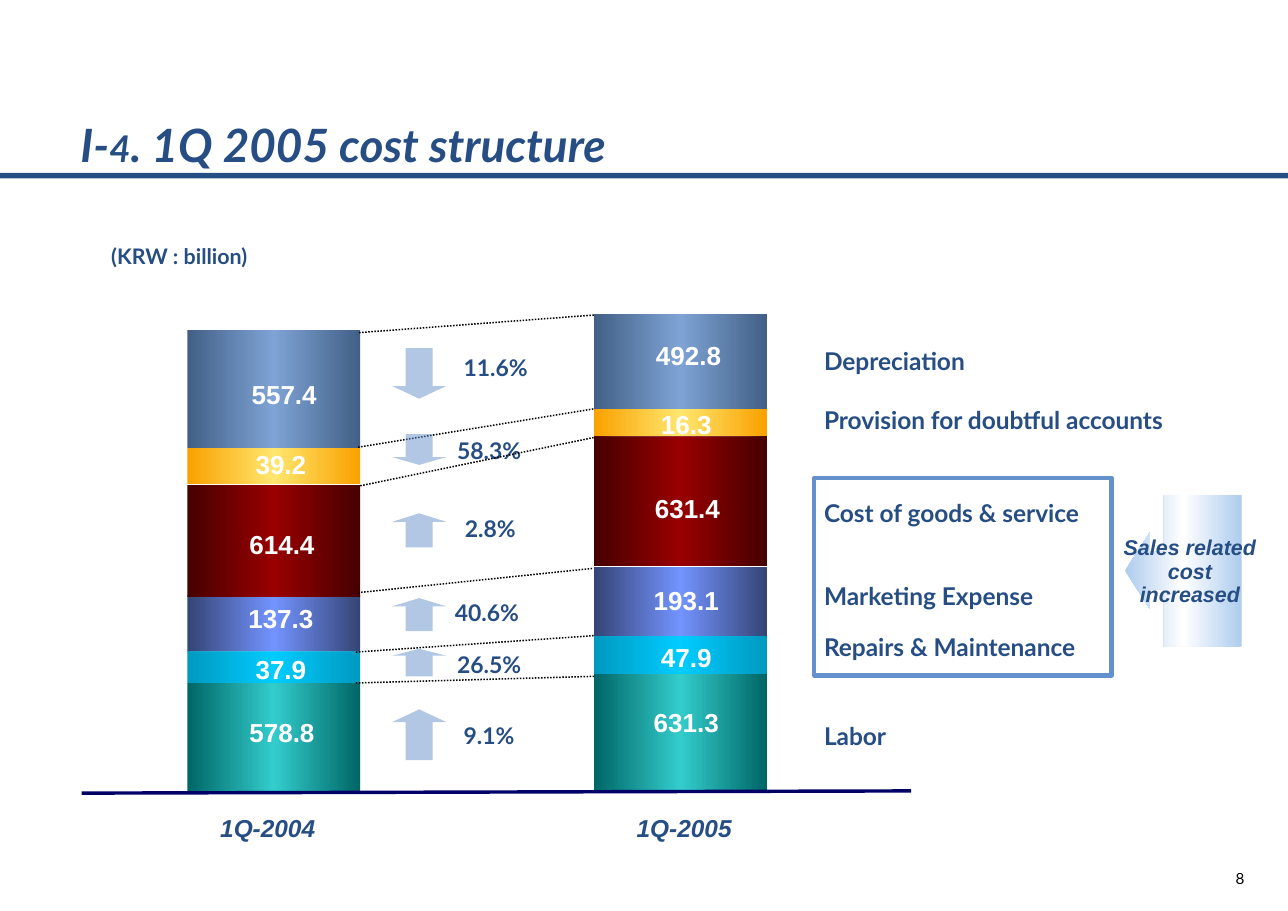
from dataclasses import dataclass

from lxml import etree
from pptx import Presentation
from pptx.dml.color import RGBColor
from pptx.enum.dml import MSO_LINE
from pptx.enum.shapes import MSO_CONNECTOR, MSO_SHAPE
from pptx.enum.text import MSO_ANCHOR, PP_ALIGN
from pptx.oxml.ns import qn
from pptx.util import Emu, Pt

PX = 9144
LEFT, CENTER = PP_ALIGN.LEFT, PP_ALIGN.CENTER
TOP, BOTTOM = MSO_ANCHOR.TOP, MSO_ANCHOR.BOTTOM
RECTANGLE, CUBE = MSO_SHAPE.RECTANGLE, MSO_SHAPE.CUBE
UP, DOWN = MSO_SHAPE.UP_ARROW, MSO_SHAPE.DOWN_ARROW
CALLOUT = MSO_SHAPE.DOWN_ARROW_CALLOUT
STRAIGHT = MSO_CONNECTOR.STRAIGHT
DOTTED = MSO_LINE.ROUND_DOT

COLORS = {
    "navy": "264E84", "black": "000000", "white": "FFFFFF", "axis": "000066",
    "accent": "6490CB", "callout": "AECCEE",
    "steel edge": "426087", "steel": "7EA3D4",
    "gold edge": "FAA100", "gold": "FFE66E",
    "maroon edge": "460000", "maroon": "990000",
    "violet edge": "354475", "violet": "7394FF",
    "cyan edge": "0099C0", "cyan": "00CCFF",
    "teal edge": "006666", "teal": "33CCCC",
}
BAR_WIDTH = 157
BAR_LEFTS = (170, 539)


@dataclass(frozen=True)
class Style:
    font: str
    size: int
    color: str = "navy"
    bold: bool = True
    italic: bool = False
    align: PP_ALIGN = LEFT
    spacing: float | Pt = 0.85
    anchor: MSO_ANCHOR = TOP
    margins: tuple[int, int] = (0, 0)


@dataclass(frozen=True)
class Bar:
    top: int
    height: int
    value: str
    value_left: int
    value_top: int


@dataclass(frozen=True)
class Change:
    text: str
    left: int
    top: int
    direction: MSO_SHAPE
    arrow_top: int
    arrow_height: int


@dataclass(frozen=True)
class Cost:
    name: str
    name_top: int
    color: str
    bars: tuple[Bar, Bar]
    change: Change
    link: tuple[int, int, int, int]


TITLE = Style("Lato", 30, italic=True, spacing=Pt(31.9), anchor=BOTTOM)
UNIT = Style("Lato", 14)
COST_NAME = Style("Lato", 16)
PERCENT = Style("Lato", 15, align=CENTER)
VALUE = Style("Arial", 17, "white", align=CENTER, spacing=1.0)
PERIOD = Style("Arial", 16, italic=True, align=CENTER)
REMARK = Style("Arial", 14, italic=True, align=CENTER, spacing=0.9, margins=(10, 5))
PAGE = Style("Lato", 10, "black", bold=False, align=CENTER, spacing=1.05, margins=(5, 5))

COSTS = [
    Cost("Provision for doubtful accounts", 372, "gold",
         (Bar(407, 32, "39.2", 217, 407), Bar(371, 30, "16.3", 585, 371)),
         Change("58.3%", 406, 400, DOWN, 394, 28), (325, 406, 540, 371)),
    Cost("Marketing Expense", 532, "violet",
         (Bar(540, 52, "137.3", 217, 547), Bar(515, 71, "193.1", 585, 531)),
         Change("40.6%", 404, 547, UP, 543, 30), (325, 538, 538, 516)),
    Cost("Cost of goods & service", 456, "maroon",
         (Bar(440, 102, "614.4", 218, 480), Bar(396, 118, "631.4", 586, 447)),
         Change("2.8%", 407, 471, UP, 466, 31), (327, 441, 540, 397)),
    Cost("Labor", 659, "teal",
         (Bar(620, 98, "578.8", 218, 650), Bar(607, 110, "631.3", 585, 641)),
         Change("9.1%", 406, 659, UP, 644, 46), (323, 620, 540, 614)),
    Cost("Depreciation", 318, "steel",
         (Bar(300, 107, "557.4", 220, 344), Bar(285, 86, "492.8", 587, 308)),
         Change("11.6%", 412, 325, DOWN, 316, 46), (326, 302, 539, 286)),
    Cost("Repairs & Maintenance", 578, "cyan",
         (Bar(591, 29, "37.9", 217, 593), Bar(577, 35, "47.9", 585, 582)),
         Change("26.5%", 406, 594, UP, 589, 25), (323, 592, 540, 577)),
]


def px(length: int) -> Emu:
    return Emu(length * PX)


def rgb(name: str) -> RGBColor:
    return RGBColor.from_string(COLORS[name])


def add_text(slide, text: str, left: int, top: int, width: int, height: int, style: Style):
    frame = slide.shapes.add_textbox(px(left), px(top), px(width), px(height)).text_frame
    frame.word_wrap = True
    frame.vertical_anchor = style.anchor
    frame.margin_left = frame.margin_right = px(style.margins[0])
    frame.margin_top = frame.margin_bottom = px(style.margins[1])
    paragraph = frame.paragraphs[0]
    paragraph.alignment = style.align
    paragraph.line_spacing = style.spacing
    paragraph.font.name = style.font
    paragraph.font.size = Pt(style.size)
    paragraph.font.bold = style.bold
    paragraph.font.italic = style.italic
    paragraph.font.color.rgb = rgb(style.color)
    paragraph.add_run().text = text
    return paragraph


def add_shape(slide, kind: MSO_SHAPE, left: int, top: int, width: int, height: int,
              adjustments: tuple[float, ...] = ()):
    shape = slide.shapes.add_shape(kind, px(left), px(top), px(width), px(height))
    shape.shadow.inherit = False
    shape.line.fill.background()
    for index, value in enumerate(adjustments):
        shape.adjustments[index] = value
    return shape


def fill_solid(shape, color: str) -> None:
    shape.fill.solid()
    shape.fill.fore_color.rgb = rgb(color)


def fill_gradient(shape, edge: str, middle: str) -> None:
    shape.fill.gradient()
    shape.fill.gradient_angle = 0
    gradient = shape._element.spPr.find(qn("a:gradFill"))
    gradient.set("rotWithShape", "0")
    stops = gradient.find(qn("a:gsLst"))
    for stop in list(stops):
        stops.remove(stop)
    for position, color in ((0, edge), (50000, middle), (100000, edge)):
        stop = etree.SubElement(stops, qn("a:gs"), pos=str(position))
        etree.SubElement(stop, qn("a:srgbClr"), val=COLORS[color])


def add_line(slide, ends: tuple[int, int, int, int], color: str, width: float):
    line = slide.shapes.add_connector(STRAIGHT, *map(px, ends))
    line.line.color.rgb = rgb(color)
    line.line.width = Pt(width)
    etree.SubElement(line._element.spPr, qn("a:effectLst"))
    return line


def add_bars(slide, cost: Cost) -> None:
    for left, bar in zip(BAR_LEFTS, cost.bars):
        block = add_shape(slide, CUBE, left, bar.top, BAR_WIDTH, bar.height, (0,))
        fill_gradient(block, f"{cost.color} edge", cost.color)
        add_text(slide, bar.value, bar.value_left, bar.value_top, 76, 28, VALUE)


def add_change(slide, cost: Cost) -> None:
    change = cost.change
    add_line(slide, cost.link, "black", 1).line.dash_style = DOTTED
    arrow = add_shape(slide, change.direction, 356, change.arrow_top, 49,
                      change.arrow_height, (0.5, 0.25))
    fill_solid(arrow, "accent")
    tint = arrow._element.spPr.find(qn("a:solidFill"))[0]
    etree.SubElement(tint, qn("a:alpha"), val="50000")
    add_text(slide, change.text, change.left, change.top, 76, 21, PERCENT)
    add_text(slide, cost.name, 748, cost.name_top, 347, 23, COST_NAME)


def main() -> None:
    deck = Presentation()
    deck.slide_width, deck.slide_height = px(1169), px(827)
    slide = deck.slides.add_slide(deck.slide_layouts[6])

    add_text(slide, "8", 1087, 783, 77, 31, PAGE)
    fill_solid(add_shape(slide, RECTANGLE, 0, 157, 1169, 5), "navy")
    title = add_text(slide, "I-", 73, 112, 1019, 44, TITLE)
    number = title.add_run()
    number.text = "4"
    number.font.size = Pt(24)
    title.add_run().text = ". 1Q 2005 cost structure"
    add_text(slide, "(KRW : billion)", 101, 224, 170, 20, UNIT)

    for cost in COSTS:
        add_bars(slide, cost)
    for cost in COSTS:
        add_change(slide, cost)
    add_line(slide, (74, 720, 827, 718), "axis", 2.25)
    for period, left in (("1Q-2004", 183), ("1Q-2005", 561)):
        add_text(slide, period, left, 742, 120, 23, PERIOD)

    sales_frame = add_shape(slide, RECTANGLE, 739, 434, 270, 179)
    sales_frame.fill.background()
    sales_frame.line.color.rgb = rgb("accent")
    sales_frame.line.width = Pt(3)
    sales_arrow = add_shape(slide, CALLOUT, 1005, 465, 138, 106, (0.326, 0.328, 0.213, 0.667))
    sales_arrow.rotation = 90
    fill_gradient(sales_arrow, "callout", "white")
    add_text(slide, "Sales related cost increased", 1004, 483, 152, 81, REMARK)

    deck.save("out.pptx")


if __name__ == "__main__":
    main()
